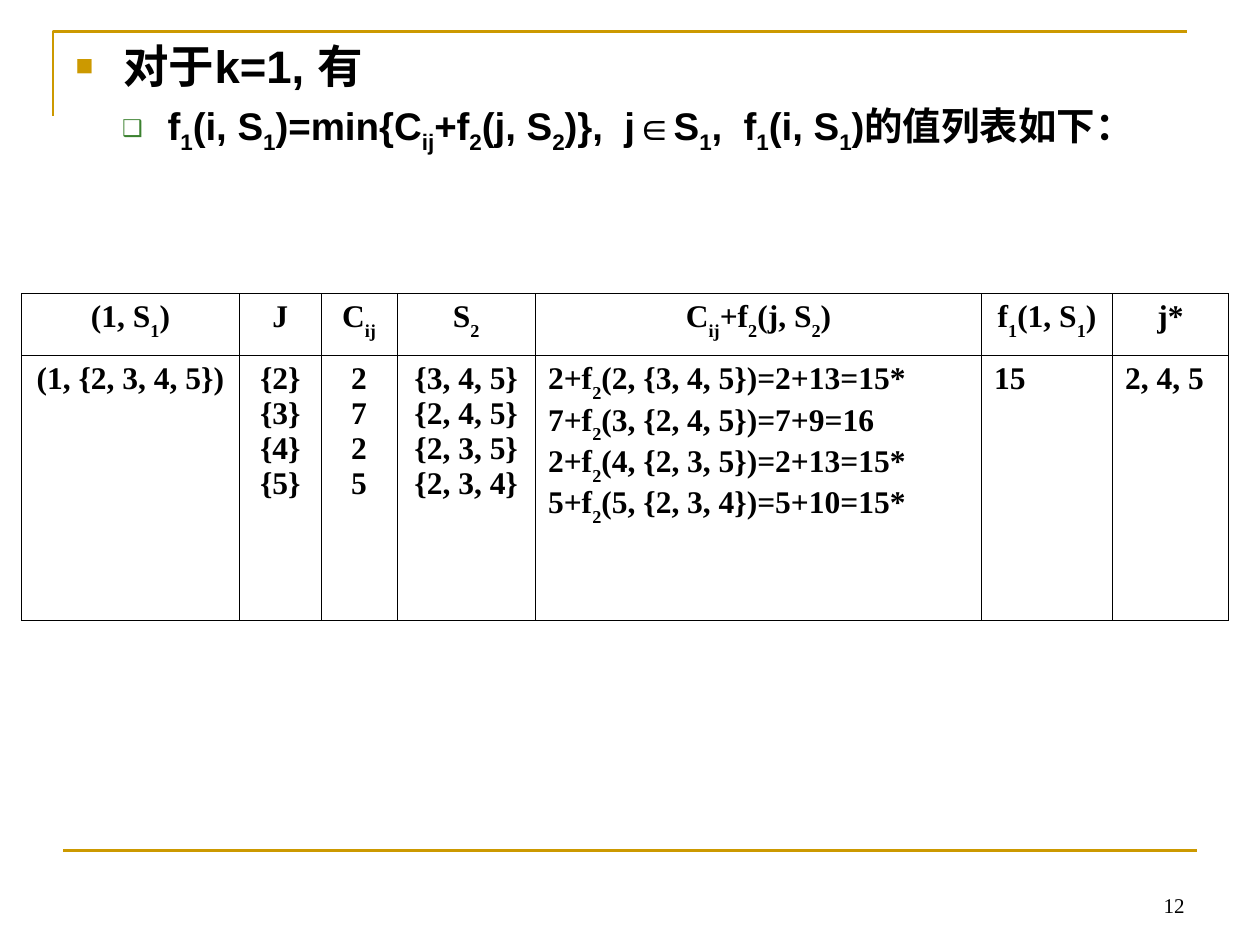
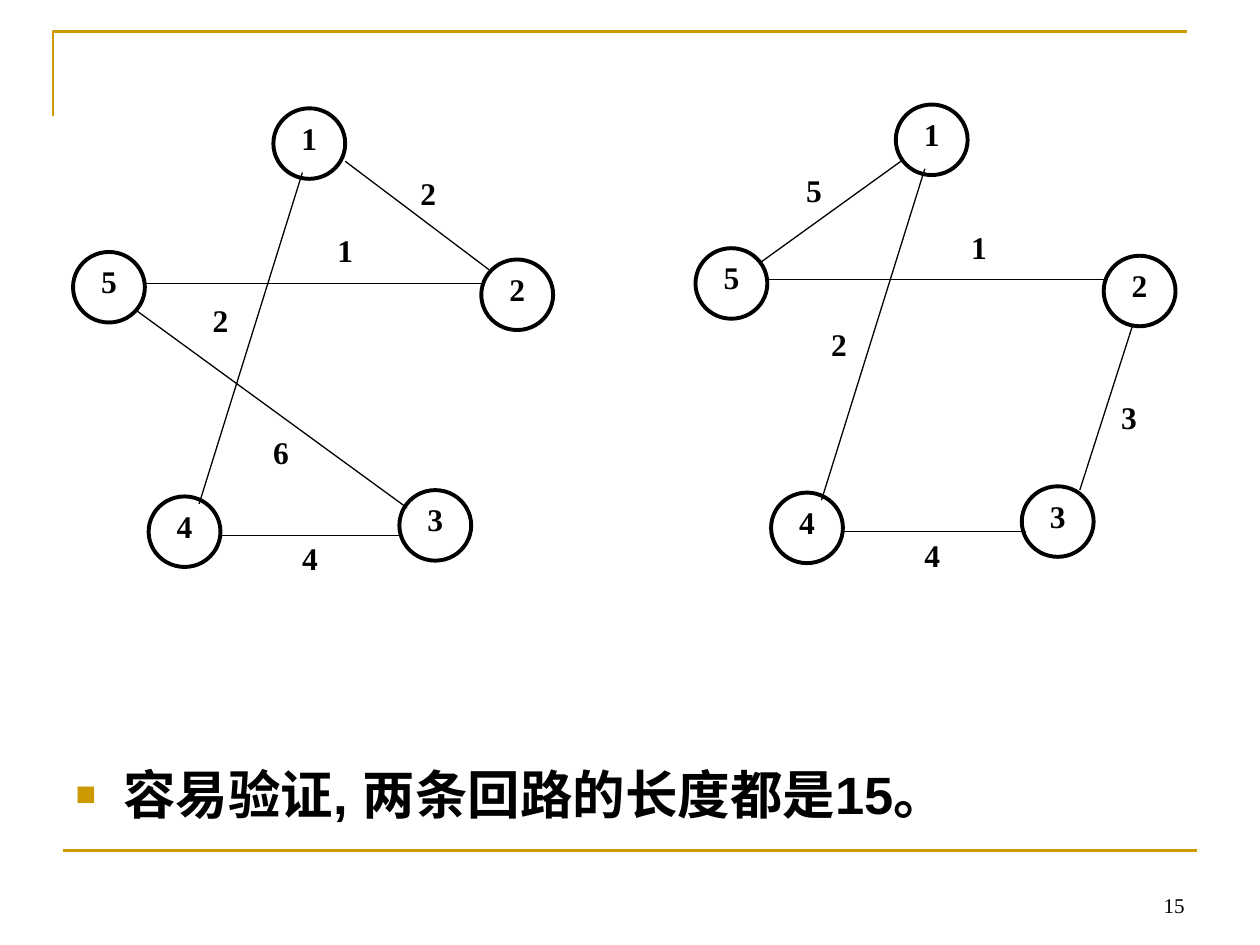
"""Build two slides on a shortest round trip: the table for k=1 and the two optimal loops."""
from dataclasses import dataclass
from typing import Optional

import pptx
import pptx.dml.color
import pptx.enum.shapes
import pptx.enum.text
import pptx.oxml
import pptx.oxml.ns
import pptx.presentation
import pptx.slide
import pptx.text.text
import pptx.util
from lxml import etree

Inches = pptx.util.Inches
Pt = pptx.util.Pt
Align = pptx.enum.text.PP_ALIGN
Anchor = pptx.enum.text.MSO_ANCHOR
qn = pptx.oxml.ns.qn

COLORS = {"ink": "000000", "paper": "FFFFFF", "gold": "CC9900", "green": "3B812F"}
SANS, SERIF = "Arial", "Times New Roman"
Point = tuple[float, float]


@dataclass(frozen=True)
class Bullet:
    """A list level with its sign, indents in inches and size in percent."""
    sign: str
    color: str
    percent: int
    margin: float
    hanging: float
    level: int = 0


@dataclass(frozen=True)
class Edge:
    """A graph edge with its weight and the corner of the weight's label."""
    start: Point
    end: Point
    weight: str
    label: Point


@dataclass(frozen=True)
class Loop:
    """A round trip over the shared nodes, moved by an offset."""
    offset: Point
    edges: tuple[Edge, ...]


MAIN_POINT = Bullet("■", "gold", 65, 0.38, 0.38)
SUB_POINT = Bullet("❑", "green", 60, 0.73, 0.36, level=1)

COLUMN_WIDTHS = (1.73, 0.65, 0.6, 1.1, 3.54, 1.04, 0.92)
ROW_HEIGHTS = (0.49, 2.1)
HEADINGS = ("(1, S~1~)", "J", "C~ij~", "S~2~", "C~ij~+f~2~(j, S~2~)", "f~1~(1, S~1~)", "j*")
VALUES = (
    "(1, {2, 3, 4, 5})",
    "{2}\n{3}\n{4}\n{5}",
    "2\n7\n2\n5",
    "{3, 4, 5}\n{2, 4, 5}\n{2, 3, 5}\n{2, 3, 4}",
    "2+f~2~(2, {3, 4, 5})=2+13=15*\n7+f~2~(3, {2, 4, 5})=7+9=16\n"
    "2+f~2~(4, {2, 3, 5})=2+13=15*\n5+f~2~(5, {2, 3, 4})=5+10=15*",
    "15",
    "2, 4, 5",
)
CENTERED_VALUES = 4

NODES = {"4": (1.18, 3.94), "3": (3.17, 3.89), "5": (0.58, 2), "2": (3.82, 2.06), "1": (2.17, 0.86)}
NODE_SIZE = (0.57, 0.56)
WEIGHT_SIZE = (0.4, 0.39)
FIVE_TO_TWO = ((1.15, 2.25), (3.85, 2.25))
ONE_TO_FOUR = ((2.4, 1.37), (1.58, 4))
FOUR_TO_THREE = Edge((1.75, 4.25), (3.2, 4.25), "4", (2.26, 4.28))
LOOPS = (
    Loop((0, 0), (
        Edge(*FIVE_TO_TWO, "1", (2.54, 1.83)),
        Edge((1.09, 2.47), (3.23, 4.03), "6", (2.03, 3.44)),
        Edge(*ONE_TO_FOUR, "2", (1.55, 2.39)),
        Edge((2.74, 1.28), (3.88, 2.14), "2", (3.2, 1.38)),
        FOUR_TO_THREE,
    )),
    Loop((4.94, -0.03), (
        Edge(*FIVE_TO_TWO, "1", (2.63, 1.84)),
        Edge(*ONE_TO_FOUR, "2", (1.52, 2.61)),
        Edge((1.1, 2.11), (2.21, 1.31), "5", (1.32, 1.39)),
        FOUR_TO_THREE,
        Edge((3.63, 3.92), (4.05, 2.61), "3", (3.82, 3.19)),
    )),
)


def rgb(color: str) -> pptx.dml.color.RGBColor:
    """Return the named colour."""
    return pptx.dml.color.RGBColor.from_string(COLORS[color])


def add_bullet(paragraph: pptx.text.text._Paragraph, bullet: Bullet) -> None:
    """Give a paragraph its bullet and hanging indent."""
    paragraph.level = bullet.level
    properties = paragraph._p.get_or_add_pPr()
    properties.set("marL", str(Inches(bullet.margin)))
    properties.set("indent", str(-Inches(bullet.hanging)))
    tint = etree.SubElement(properties, qn("a:buClr"))
    etree.SubElement(tint, qn("a:srgbClr"), val=COLORS[bullet.color])
    etree.SubElement(properties, qn("a:buSzPct"), val=str(bullet.percent * 1000))
    etree.SubElement(properties, qn("a:buChar"), char=bullet.sign)


def write(frame: pptx.text.text.TextFrame, text: str, *, size: float = 18, font: str = SERIF,
          bold: bool = True, align: Align = Align.LEFT, bullet: Optional[Bullet] = None,
          before: float = 0, drop: int = 30, append: bool = False) -> None:
    """Write lines of text in which parts between tildes are subscripts."""
    for index, line in enumerate(text.split("\n")):
        paragraph = frame.add_paragraph() if append or index else frame.paragraphs[0]
        if bullet:
            add_bullet(paragraph, bullet)
        paragraph.alignment = align
        paragraph.space_before = Pt(before)
        for position, part in enumerate(line.split("~")):
            if not part:
                continue
            run = paragraph.add_run()
            run.text = part
            run.font.size, run.font.name, run.font.bold = Pt(size), font, bold
            run.font.color.rgb = rgb("ink")
            if position % 2:
                run._r.get_or_add_rPr().set("baseline", str(-drop * 1000))


def set_frame(frame: pptx.text.text.TextFrame, *, inset: Point = (0, 0),
              anchor: Anchor = Anchor.TOP) -> pptx.text.text.TextFrame:
    """Set the margins, wrapping and anchor of a text frame."""
    frame.word_wrap = True
    frame.auto_size = pptx.enum.text.MSO_AUTO_SIZE.NONE
    frame.vertical_anchor = anchor
    frame.margin_left = frame.margin_right = Inches(inset[0])
    frame.margin_top = frame.margin_bottom = Inches(inset[1])
    return frame


def add_line(slide: pptx.slide.Slide, start: Point, end: Point, color: str, width: float) -> None:
    """Draw a straight line without a shadow."""
    line = slide.shapes.add_connector(
        pptx.enum.shapes.MSO_CONNECTOR.STRAIGHT, *map(Inches, start + end))
    line.line.color.rgb = rgb(color)
    line.line.width = Pt(width)
    etree.SubElement(line._element.spPr, qn("a:effectLst"))


def add_page(deck: pptx.presentation.Presentation, number: str, top: float,
             height: float) -> tuple[pptx.slide.Slide, pptx.text.text.TextFrame]:
    """Add a slide with the gold frame, page number and placed body text."""
    slide = deck.slides.add_slide(deck.slide_layouts[1])
    heading = slide.shapes.title.element
    heading.getparent().remove(heading)
    body = slide.placeholders[1]
    body.left, body.top, body.width, body.height = map(Inches, (0.5, top, 9, height))

    outline = slide.shapes.build_freeform(Inches(0.42), Inches(0.92))
    outline.add_line_segments(
        [(Inches(0.42), Inches(0.25)), (Inches(9.42), Inches(0.25))], close=False)
    corner = outline.convert_to_shape()
    corner.shadow.inherit = False
    corner.fill.background()
    corner.line.color.rgb = rgb("gold")
    corner.line.width = Pt(1.5)
    add_line(slide, (0.5, 6.75), (9.5, 6.75), "gold", 1.5)

    page_number = slide.shapes.add_textbox(*map(Inches, (7.17, 6.83, 2.33, 0.5)))
    write(set_frame(page_number.text_frame, inset=(0.1, 0.05), anchor=Anchor.BOTTOM),
          number, size=12, bold=False, align=Align.RIGHT)
    return slide, set_frame(body.text_frame, inset=(0.1, 0.05))


def add_borders(cell: pptx.table._Cell) -> None:
    """Draw thin borders on all sides of a table cell."""
    properties = cell._tc.get_or_add_tcPr()
    for side in ("a:lnL", "a:lnR", "a:lnT", "a:lnB"):
        border = etree.SubElement(properties, qn(side), w=str(Pt(0.45)))
        fill = etree.SubElement(border, qn("a:solidFill"))
        etree.SubElement(fill, qn("a:srgbClr"), val=COLORS["ink"])


def add_value_table(slide: pptx.slide.Slide) -> None:
    """Add the table of f1 values."""
    values = slide.shapes.add_table(
        len(ROW_HEIGHTS), len(COLUMN_WIDTHS), Inches(0.17), Inches(2.33),
        Inches(sum(COLUMN_WIDTHS)), Inches(sum(ROW_HEIGHTS))).table
    values.first_row = values.horz_banding = False
    for column, width in zip(values.columns, COLUMN_WIDTHS):
        column.width = Inches(width)
    for row, height in zip(values.rows, ROW_HEIGHTS):
        row.height = Inches(height)
    for row_index, texts in enumerate((HEADINGS, VALUES)):
        for column_index, text in enumerate(texts):
            cell = values.cell(row_index, column_index)
            add_borders(cell)
            cell.fill.background()
            centered = row_index == 0 or column_index < CENTERED_VALUES
            write(cell.text_frame, text, align=Align.CENTER if centered else Align.LEFT)


def add_loop(slide: pptx.slide.Slide, loop: Loop) -> None:
    """Draw the nodes, edges and weights of one loop."""
    def place(point: Point) -> Point:
        """Move a point by the loop's offset."""
        return point[0] + loop.offset[0], point[1] + loop.offset[1]

    for name, corner in NODES.items():
        node = slide.shapes.add_shape(
            pptx.enum.shapes.MSO_SHAPE.OVAL, *map(Inches, place(corner) + NODE_SIZE))
        node.shadow.inherit = False
        node.fill.solid()
        node.fill.fore_color.rgb = rgb("paper")
        node.line.color.rgb = rgb("ink")
        node.line.width = Pt(2.25)
        write(set_frame(node.text_frame), name, align=Align.CENTER)
    for edge in loop.edges:
        add_line(slide, place(edge.start), place(edge.end), "ink", 0.75)
    for edge in loop.edges:
        weight = slide.shapes.add_textbox(*map(Inches, place(edge.label) + WEIGHT_SIZE))
        write(set_frame(weight.text_frame), edge.weight, align=Align.CENTER)


def main() -> None:
    """Build and save the slides."""
    deck = pptx.Presentation()
    deck.slide_width, deck.slide_height = Inches(10), Inches(7.5)

    slide, body = add_page(deck, "12", 0.25, 1.6)
    write(body, "对于k=1, 有", size=26, font=SANS, bullet=MAIN_POINT)
    write(body, "f~1~(i, S~1~)=min{C~ij~+f~2~(j, S~2~)},  j∈S~1~,  f~1~(i, S~1~)的值列表如下：",
          size=22, font=SANS, bullet=SUB_POINT, before=5.5, drop=25, append=True)
    add_value_table(slide)

    slide, body = add_page(deck, "15", 6, 0.7)
    write(body, "容易验证, 两条回路的长度都是15。", size=30, font=SANS, bullet=MAIN_POINT)
    for loop in LOOPS:
        add_loop(slide, loop)

    deck.save("out.pptx")


if __name__ == "__main__":
    main()
